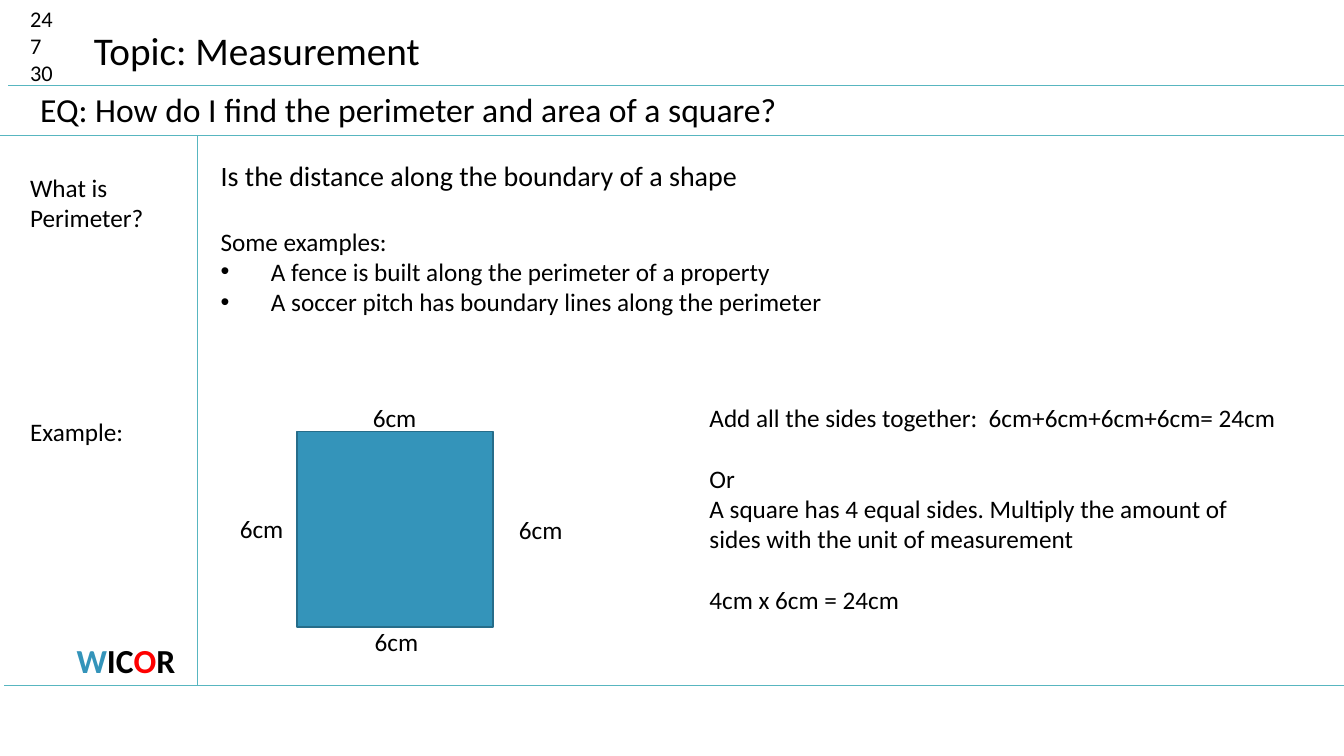
"""Build a Cornell-notes slide about the perimeter of a square."""
import dataclasses

import lxml.etree
import pptx
import pptx.dml.color
import pptx.enum.shapes
import pptx.enum.text
import pptx.oxml.ns
import pptx.util

Pt = pptx.util.Pt
LEFT = pptx.enum.text.PP_ALIGN.LEFT
CENTER = pptx.enum.text.PP_ALIGN.CENTER


@dataclasses.dataclass(frozen=True)
class Theme:
    """Colours, font and type sizes of the slide."""
    font: str = "Calibri"
    ink: str = "000000"
    rule: str = "58B6C0"
    accent: str = "3494BA"
    accent_edge: str = "266D8A"
    alert: str = "FF0000"
    title: int = 28
    question: int = 24
    lead: int = 20
    body: int = 18
    small: int = 16


class NotesSlide:
    """Draws styled elements on the current slide, measured in points."""

    def __init__(self, slide, theme):
        """Keep the slide and its theme."""
        self.slide = slide
        self.theme = theme

    def rgb(self, value):
        """Turn a hex string into a colour."""
        return pptx.dml.color.RGBColor.from_string(value)

    def style(self, run, size, color=None, bold=False):
        """Format one run."""
        run.font.name = self.theme.font
        run.font.size = Pt(size)
        run.font.bold = bold
        run.font.color.rgb = self.rgb(color or self.theme.ink)

    def title(self, text, left, top, width, height):
        """Place and format the title placeholder."""
        holder = self.slide.shapes.title
        holder.left, holder.top = Pt(left), Pt(top)
        holder.width, holder.height = Pt(width), Pt(height)
        frame = holder.text_frame
        frame.text = text
        frame.word_wrap = False
        frame.auto_size = pptx.enum.text.MSO_AUTO_SIZE.SHAPE_TO_FIT_TEXT
        frame.vertical_anchor = pptx.enum.text.MSO_ANCHOR.TOP
        frame.paragraphs[0].alignment = LEFT
        self.style(frame.paragraphs[0].runs[0], self.theme.title)

    def frame(self, left, top, width, height):
        """Add an empty wrapping text box and return its frame."""
        box = self.slide.shapes.add_textbox(Pt(left), Pt(top), Pt(width), Pt(height))
        box.text_frame.word_wrap = True
        box.text_frame.auto_size = pptx.enum.text.MSO_AUTO_SIZE.SHAPE_TO_FIT_TEXT
        return box.text_frame

    def text(self, lines, size, left, top, width, height):
        """Add a text box with one paragraph a line and return its paragraphs."""
        frame = self.frame(left, top, width, height)
        frame.text = "\n".join(lines)
        for paragraph in frame.paragraphs:
            self.style(paragraph.runs[0], size)
        return frame.paragraphs

    def letters(self, parts, size, left, top, width, height):
        """Add a centred bold word made of coloured parts."""
        paragraph = self.frame(left, top, width, height).paragraphs[0]
        paragraph.alignment = CENTER
        for letters, color in parts:
            run = paragraph.add_run()
            run.text = letters
            self.style(run, size, color, bold=True)

    def bullet(self, paragraph, indent):
        """Give a paragraph a hanging bullet."""
        properties = paragraph._p.get_or_add_pPr()
        properties.set("marL", str(Pt(indent)))
        properties.set("indent", str(-Pt(indent)))
        for tag, key, value in (("a:buFont", "typeface", "Arial"), ("a:buChar", "char", "•")):
            lxml.etree.SubElement(properties, pptx.oxml.ns.qn(tag)).set(key, value)

    def rule(self, x1, y1, x2, y2):
        """Draw a thin ruling line."""
        line = self.slide.shapes.add_connector(
            pptx.enum.shapes.MSO_CONNECTOR.STRAIGHT, Pt(x1), Pt(y1), Pt(x2), Pt(y2))
        line.line.color.rgb = self.rgb(self.theme.rule)
        line.line.width = Pt(0.75)
        lxml.etree.SubElement(line._element.spPr, pptx.oxml.ns.qn("a:effectLst"))

    def square(self, left, top, side):
        """Draw the filled square."""
        shape = self.slide.shapes.add_shape(
            pptx.enum.shapes.MSO_SHAPE.RECTANGLE, Pt(left), Pt(top), Pt(side), Pt(side))
        shape.shadow.inherit = False
        shape.fill.solid()
        shape.fill.fore_color.rgb = self.rgb(self.theme.accent)
        shape.line.color.rgb = self.rgb(self.theme.accent_edge)
        shape.line.width = Pt(1.25)


def main():
    """Compose the slide and save it."""
    theme = Theme()
    deck = pptx.Presentation()
    deck.slide_width, deck.slide_height = Pt(960), Pt(540)
    notes = NotesSlide(deck.slides.add_slide(deck.slide_layouts[5]), theme)

    header, cue_top, cue_bottom, margin = 61.2, 96.5, 489.6, 141.1
    notes.rule(5.8, header, 960, header)
    notes.rule(0, cue_top, 960, cue_top)
    notes.rule(2.9, cue_bottom, 960, cue_bottom)
    notes.rule(margin, cue_top, margin, cue_bottom)

    notes.text(["24", "7", "30"], theme.small, 14.4, 0, 45.4, 65.5)
    notes.title("Topic: Measurement", 59.8, 15.1, 249.8, 41)
    notes.text(["EQ: How do I find the perimeter and area of a square?"],
               theme.question, 21.6, 59.8, 838, 36)

    notes.text(["What is Perimeter?"], theme.body, 14.4, 119.5, 121.7, 51.1)
    notes.text(["Example:"], theme.body, 14.4, 293.8, 98.6, 28.8)
    notes.letters([("W", theme.accent), ("IC", theme.ink), ("O", theme.alert), ("R", theme.ink)],
                  theme.question, 10.1, 453.6, 159.8, 36)

    definition, examples, *uses = notes.text(
        ["Is the distance along the boundary of a shape",
         "Some examples:",
         "A fence is built along the perimeter of a property",
         "A soccer pitch has boundary lines along the perimeter"],
        theme.body, 150.5, 109.4, 800, 143.3)
    notes.style(definition.runs[0], theme.lead)
    examples.space_before = Pt(24.4)
    for use in uses:
        notes.bullet(use, 36)

    notes.square(212.4, 308.2, 139.7)
    for left, top, width in ((259.2, 283.7, 77), (260.6, 443.5, 60),
                             (363.6, 363.6, 47.5), (164.2, 362.9, 48.2)):
        notes.text(["6cm"], theme.body, left, top, width, 28.8)

    _, alternative, _, product = notes.text(
        ["Add all the sides together:  6cm+6cm+6cm+6cm= 24cm",
         "Or",
         "A square has 4 equal sides. Multiply the amount of sides with the unit of measurement",
         "4cm x 6cm = 24cm"],
        theme.body, 499.7, 283.7, 424.8, 181.4)
    for paragraph in (alternative, product):
        paragraph.space_before = Pt(22)

    deck.save("out.pptx")


if __name__ == "__main__":
    main()
